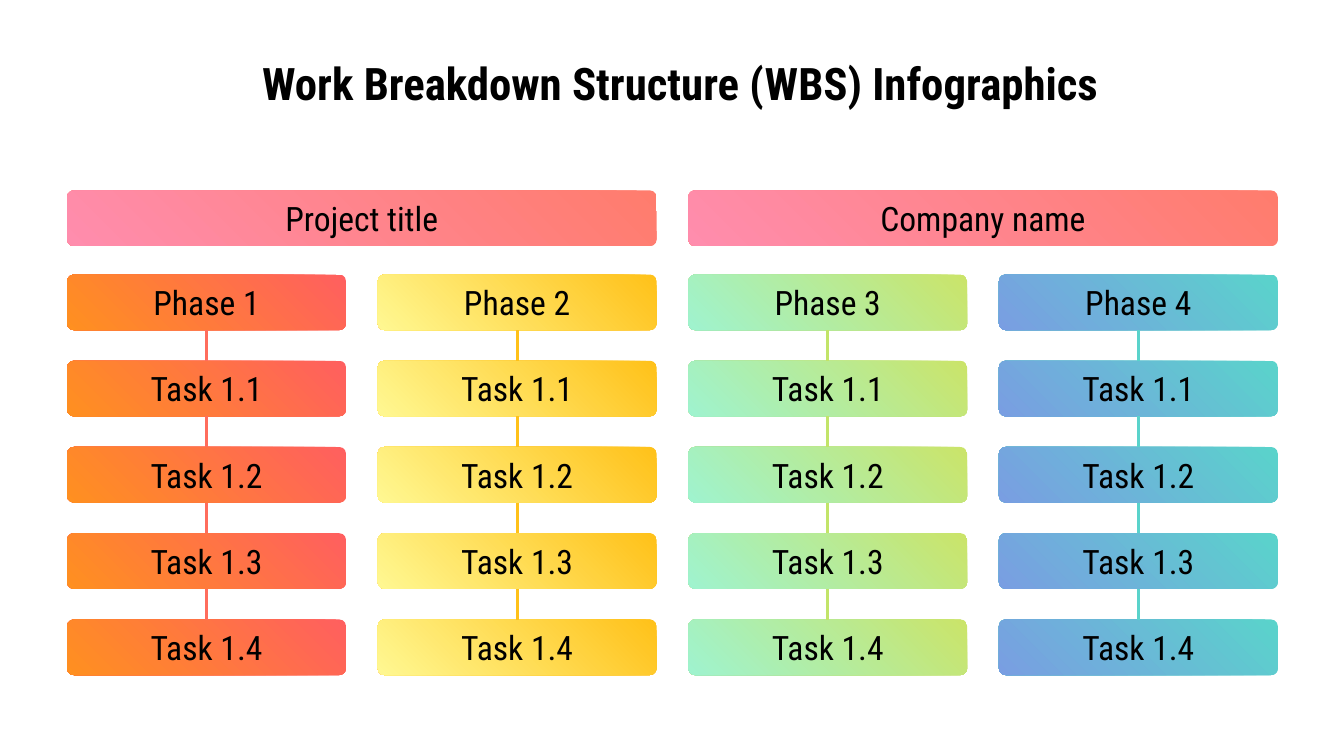
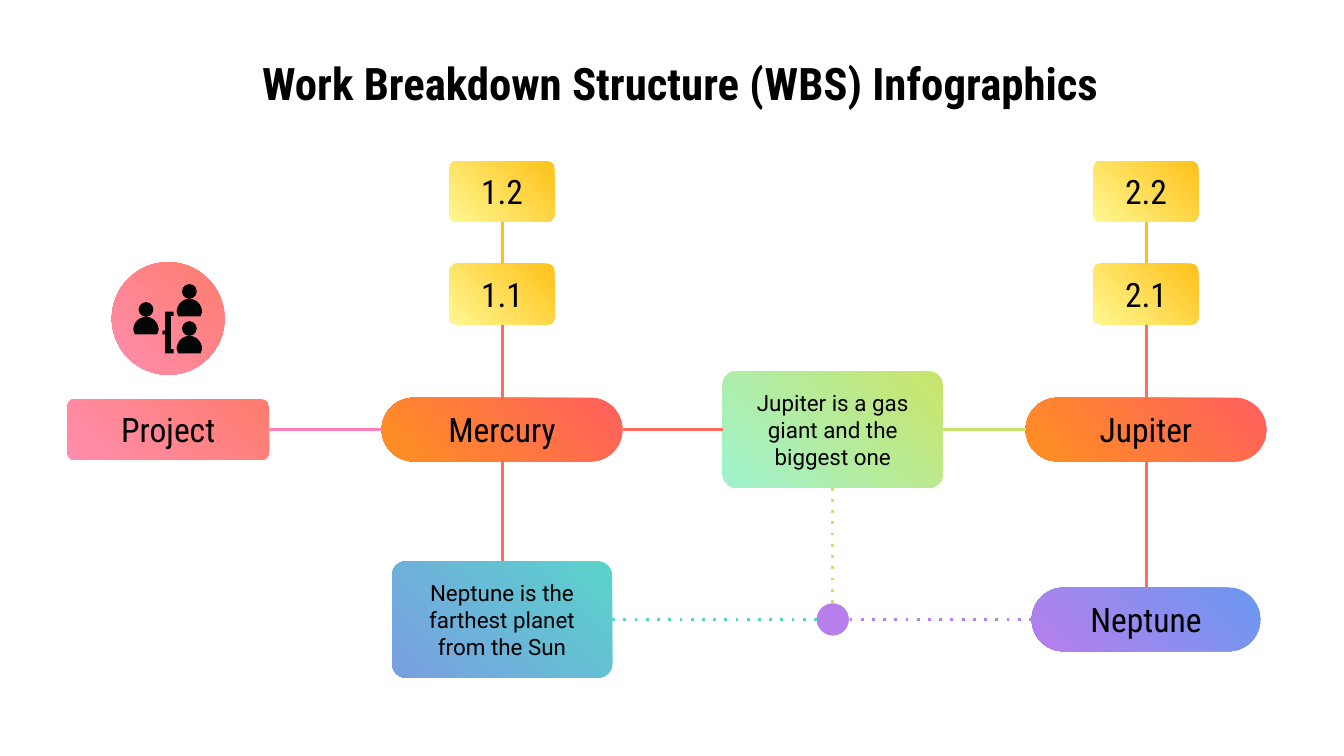
"""Build two work breakdown structure slides."""
from math import cos, pi, sin

from lxml import etree
from pptx import Presentation
from pptx.dml.color import RGBColor
from pptx.enum import dml, shapes, text
from pptx.oxml.ns import qn
from pptx.util import Cm, Pt

BLACK = RGBColor(0x00, 0x00, 0x00)
INK = RGBColor(0x04, 0x06, 0x06)
CORAL = RGBColor(0xFF, 0x6D, 0x5D)
ROSE = RGBColor(0xFF, 0x80, 0xB9)
GOLD = RGBColor(0xFF, 0xC1, 0x19)
LIME = RGBColor(0xC2, 0xE4, 0x69)
TEAL = RGBColor(0x5A, 0xD3, 0xCB)
VIOLET = RGBColor(0xB7, 0x7E, 0xEC)
PINKS = RGBColor(0xFF, 0x7C, 0x6D), RGBColor(0xFF, 0x8D, 0xAD)
REDS = RGBColor(0xFF, 0x5F, 0x5F), RGBColor(0xFF, 0x90, 0x20)
GOLDS = GOLD, RGBColor(0xFF, 0xF8, 0x92)
GREENS = RGBColor(0xCB, 0xE4, 0x69), RGBColor(0x9F, 0xF3, 0xCF)
BLUES = TEAL, RGBColor(0x79, 0x9E, 0xE2)
PURPLES = RGBColor(0x6A, 0x99, 0xF0), VIOLET

TITLE = "Work Breakdown Structure (WBS) Infographics"
HEAD = {"name": "Roboto Condensed", "size": Pt(24), "bold": True}
LABEL = {"name": "Roboto Condensed", "size": Pt(18), "bold": False}
NOTE = {"name": "Roboto", "size": Pt(12), "bold": False}
FRAME = {"word_wrap": True, "vertical_anchor": text.MSO_ANCHOR.MIDDLE,
         "margin_left": Cm(0.25), "margin_right": Cm(0.25),
         "margin_top": Cm(0.25), "margin_bottom": Cm(0.25)}
ROUND, OVAL = shapes.MSO_SHAPE.ROUNDED_RECTANGLE, shapes.MSO_SHAPE.OVAL
TOP, LEFT, BOTTOM, RIGHT = range(4)

BARS = ["Project title", "Company name"]
TASKS = ["Task 1.1", "Task 1.2", "Task 1.3", "Task 1.4"]
PHASES = [("Phase 1", REDS, CORAL), ("Phase 2", GOLDS, GOLD),
          ("Phase 3", GREENS, LIME), ("Phase 4", BLUES, TEAL)]

KINDS = {"box": (3.81, 1.15, 0.12, LABEL), "chip": (1.98, 1.15, 0.12, LABEL),
         "pill": (4.55, 1.2, 0.5, LABEL), "slim": (4.32, 1.2, 0.5, LABEL),
         "note": (4.16, 2.2, 0.12, NOTE)}
COLS = {"start": 3.18, "one": 9.49, "mid": 15.74, "two": 21.66}
ROWS = {"high": 3.62, "next": 5.56, "main": 8.12, "low": 11.71}
NODES = [("Project", "box", "start", "main", PINKS),
         ("Mercury", "pill", "one", "main", REDS),
         ("Jupiter", "pill", "two", "main", REDS),
         ("Neptune", "slim", "two", "low", PURPLES),
         ("1.1", "chip", "one", "next", GOLDS),
         ("1.2", "chip", "one", "high", GOLDS),
         ("2.1", "chip", "two", "next", GOLDS),
         ("2.2", "chip", "two", "high", GOLDS),
         ("Jupiter is a gas giant and the biggest one", "note", "mid", "main", GREENS),
         ("Neptune is the farthest planet from the Sun", "note", "one", "low", BLUES)]
LINKS = [("start main", RIGHT, "one main", ROSE, False),
         ("one main", RIGHT, "mid main", CORAL, False),
         ("mid main", RIGHT, "two main", LIME, False),
         ("one main", TOP, "one next", CORAL, False),
         ("one next", TOP, "one high", GOLD, False),
         ("one main", BOTTOM, "one low", CORAL, False),
         ("two main", TOP, "two next", CORAL, False),
         ("two next", TOP, "two high", GOLD, False),
         ("two main", BOTTOM, "two low", CORAL, False),
         ("one low", RIGHT, "mid low", TEAL, True),
         ("mid main", BOTTOM, "mid low", LIME, True),
         ("two low", LEFT, "mid low", VIOLET, True)]
PEOPLE = [(2.76, 5.85), (3.58, 5.51), (3.58, 6.21)]
BRACKET = [(3.28, 5.89), (3.12, 5.89), (3.12, 6.25), (3.07, 6.25), (3.07, 6.32),
           (3.12, 6.32), (3.12, 6.68), (3.28, 6.68), (3.28, 6.6), (3.23, 6.6),
           (3.23, 5.97), (3.28, 5.97)]


def apply(item, style):
    """Set each attribute in the style."""
    for key, value in style.items():
        setattr(item, key, value)


def write(shape, words, style):
    """Put centred text in a shape."""
    frame = shape.text_frame
    apply(frame, FRAME)
    para = frame.paragraphs[0]
    para.alignment = text.PP_ALIGN.CENTER
    run = para.add_run()
    run.text = words
    apply(run.font, style)
    run.font.color.rgb = BLACK


def paint(shape, *tones):
    """Fill a shape with one tone or a diagonal gradient of two."""
    shape.shadow.inherit = False
    shape.line.fill.background()
    if len(tones) == 1:
        shape.fill.solid()
        shape.fill.fore_color.rgb = tones[0]
        return
    shape.fill.gradient()
    shape.fill.gradient_angle = 225
    for stop, tone in zip(shape.fill.gradient_stops, tones):
        stop.color.rgb = tone


def block(slide, words, left, top, wide, high, tones, bend=0.12, style=LABEL):
    """Add a rounded label."""
    shape = slide.shapes.add_shape(ROUND, Cm(left), Cm(top), Cm(wide), Cm(high))
    shape.adjustments[0] = bend
    paint(shape, *tones)
    write(shape, words, style)
    return shape


def disc(parent, x, y, size, *tones):
    """Add a circle about a centre."""
    shape = parent.shapes.add_shape(OVAL, Cm(x - size / 2), Cm(y - size / 2),
                                    Cm(size), Cm(size))
    paint(shape, *tones)
    return shape


def spot(shape, side):
    """Return the middle of one side."""
    x, y = shape.left + shape.width // 2, shape.top + shape.height // 2
    return {TOP: (x, shape.top), LEFT: (shape.left, y),
            BOTTOM: (x, shape.top + shape.height),
            RIGHT: (shape.left + shape.width, y)}[side]


def link(slide, start, side, end, tone, dots=False):
    """Join a side of one shape to the facing side of another."""
    back = (side + 2) % 4
    line = slide.shapes.add_connector(shapes.MSO_CONNECTOR.STRAIGHT,
                                      *spot(start, side), *spot(end, back))
    line.begin_connect(start, side)
    if end.auto_shape_type == ROUND:
        line.end_connect(end, back)
    line.line.color.rgb = tone
    line.line.width = Pt(1.5)
    if dots:
        line.line.dash_style = dml.MSO_LINE.ROUND_DOT
        next(line.element.iter(qn("a:prstDash"))).set("val", "dot")
    etree.SubElement(line.element.spPr, qn("a:effectLst"))


def trace(parent, spots):
    """Add a closed dark outline."""
    first, *rest = [(Cm(x), Cm(y)) for x, y in spots]
    pen = parent.shapes.build_freeform(*first)
    pen.add_line_segments(rest)
    paint(pen.convert_to_shape(), INK)


def icon(slide):
    """Draw the team on its disc."""
    disc(slide, COLS["start"], 6.02, 2.13, *PINKS)
    team = slide.shapes.add_group_shape()
    for x, y in PEOPLE:
        disc(team, x, y, 0.28, INK)
        base = y + 0.47
        arc = [(x - 0.24 * cos(pi * n / 24), base - 0.08 - 0.25 * sin(pi * n / 24))
               for n in range(25)]
        trace(team, arc + [(x + 0.21, base), (x - 0.21, base)])
    trace(team, BRACKET)


def begin(deck):
    """Add a slide with the shared title."""
    slide = deck.slides.add_slide(deck.slide_layouts[5])
    title = slide.shapes.title
    apply(title, {"left": Cm(1.02), "top": Cm(0.76),
                  "width": Cm(23.67), "height": Cm(1.6)})
    write(title, TITLE, HEAD)
    return slide


def grid(slide):
    """Lay out the phases and their tasks."""
    left, top, step, drop, wide, high = 1.27, 5.19, 5.87, 1.63, 5.27, 1.05
    for n, words in enumerate(BARS):
        block(slide, words, left + 2 * n * step, 3.6, step + wide, high, PINKS)
    for col, (phase, tones, tone) in enumerate(PHASES):
        chain = [block(slide, words, left + col * step, top + row * drop,
                       wide, high, tones)
                 for row, words in enumerate([phase, *TASKS])]
        for upper, lower in zip(chain, chain[1:]):
            link(slide, upper, BOTTOM, lower, tone)


def tree(slide):
    """Lay out the linked planets."""
    icon(slide)
    made = {"mid low": disc(slide, COLS["mid"], ROWS["low"], 0.61, VIOLET)}
    for words, kind, col, row, tones in NODES:
        wide, high, bend, style = KINDS[kind]
        made[f"{col} {row}"] = block(slide, words, COLS[col] - wide / 2,
                                     ROWS[row] - high / 2, wide, high,
                                     tones, bend, style)
    for start, side, end, tone, dots in LINKS:
        link(slide, made[start], side, made[end], tone, dots)


def main():
    """Build and save the deck."""
    deck = Presentation()
    apply(deck, {"slide_width": Cm(25.4), "slide_height": Cm(14.29)})
    for draw in (grid, tree):
        draw(begin(deck))
    deck.save("out.pptx")


if __name__ == "__main__":
    main()
